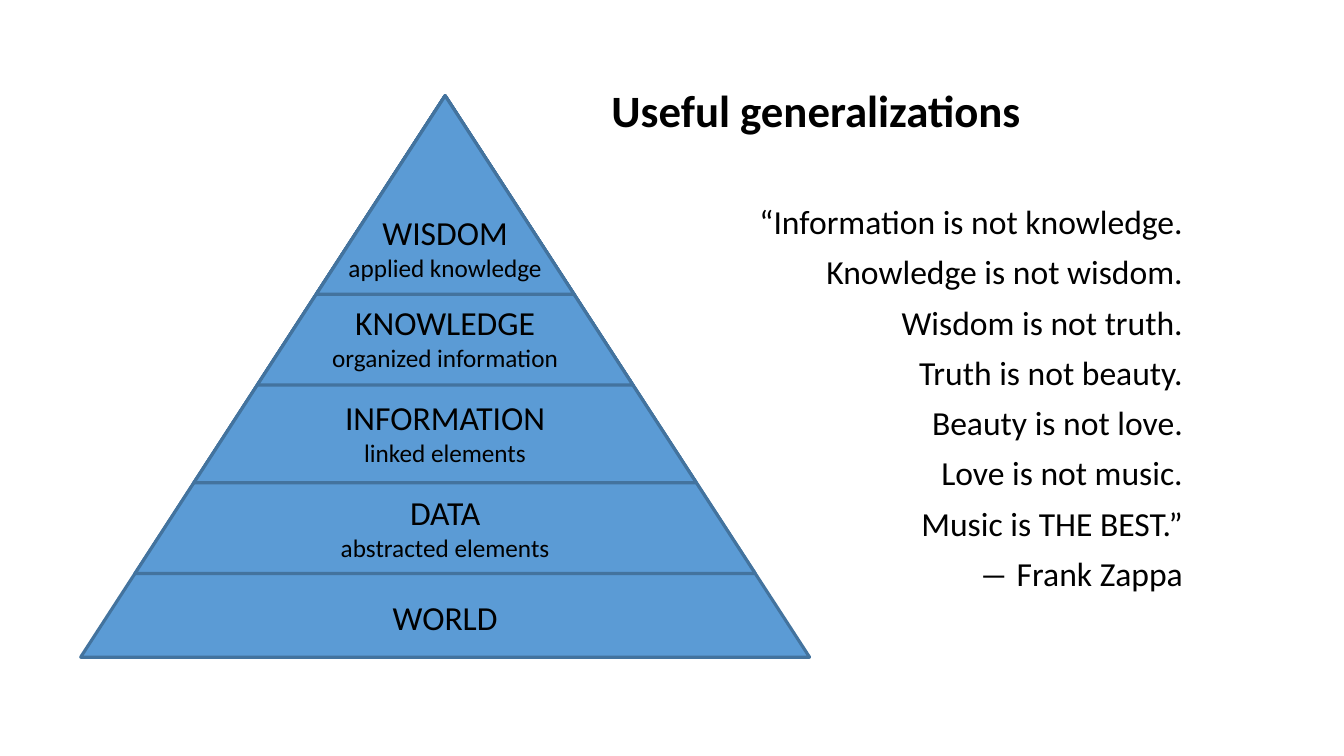
from dataclasses import dataclass

from pptx import Presentation
from pptx.dml.color import RGBColor
from pptx.enum.shapes import MSO_SHAPE
from pptx.enum.text import MSO_ANCHOR, PP_ALIGN
from pptx.util import Inches, Pt

TRIANGLE = MSO_SHAPE.ISOSCELES_TRIANGLE
TOP, MIDDLE = MSO_ANCHOR.TOP, MSO_ANCHOR.MIDDLE
CENTER, RIGHT = PP_ALIGN.CENTER, PP_ALIGN.RIGHT


@dataclass(frozen=True)
class Theme:
    font: str = "Calibri"
    ink: RGBColor = RGBColor(0, 0, 0)
    fill: RGBColor = RGBColor(0x5B, 0x9B, 0xD5)
    edge: RGBColor = RGBColor(0x43, 0x73, 0x9E)
    edge_width: float = 2.25
    title: int = 32
    body: int = 24
    detail: int = 18


@dataclass(frozen=True)
class Box:
    left: float
    top: float
    width: float
    height: float

    def lengths(self):
        return [Inches(n) for n in (self.left, self.top, self.width, self.height)]


@dataclass(frozen=True)
class Level:
    depth: float
    label_top: float
    label_width: float
    lines: tuple


THEME = Theme()

LEVELS = [
    Level(5.57, 4.92, 1.52, ("WORLD",)),
    Level(4.74, 3.88, 3.54, ("DATA", "abstracted elements")),
    Level(3.84, 2.94, 2.6, ("INFORMATION", "linked elements")),
    Level(2.87, 2.0, 2.6, ("KNOWLEDGE", "organized information")),
    Level(1.97, 1.1, 2.6, ("WISDOM", "applied knowledge")),
]

QUOTE = [
    "“Information is not knowledge.",
    "Knowledge is not wisdom.",
    "Wisdom is not truth.",
    "Truth is not beauty.",
    "Beauty is not love.",
    "Love is not music.",
    "Music is THE BEST.”",
    "― Frank Zappa",
]


def add_text(page, box, lines, sizes, align, anchor=TOP, bold=False,
             line_spacing=1.0, space_before=0):
    frame = page.shapes.add_textbox(*box.lengths()).text_frame
    frame.word_wrap = True
    frame.vertical_anchor = anchor
    frame.text = "\n".join(lines)
    for para, size in zip(frame.paragraphs, sizes):
        para.alignment = align
        para.line_spacing = line_spacing
        para.space_before = Pt(space_before)
        for span in para.runs:
            span.font.name = THEME.font
            span.font.size = Pt(size)
            span.font.bold = bold
            span.font.color.rgb = THEME.ink


def add_triangle(page, box):
    triangle = page.shapes.add_shape(TRIANGLE, *box.lengths())
    triangle.shadow.inherit = False
    triangle.fill.solid()
    triangle.fill.fore_color.rgb = THEME.fill
    triangle.line.color.rgb = THEME.edge
    triangle.line.width = Pt(THEME.edge_width)


def add_pyramid(page, box):
    middle = box.left + box.width / 2
    for level in LEVELS:
        width = box.width * level.depth / box.height
        add_triangle(page, Box(middle - width / 2, box.top, width, level.depth))
    for level in LEVELS:
        height = 0.5 if len(level.lines) == 1 else 0.81
        label = Box(middle - level.label_width / 2, box.top + level.label_top,
                    level.label_width, height)
        add_text(page, label, level.lines, (THEME.body, THEME.detail), CENTER)


def add_quote(page, box):
    add_text(page, box, QUOTE, [THEME.body] * len(QUOTE), RIGHT,
             line_spacing=0.9, space_before=10)


def add_title(page, box):
    add_text(page, box, ["Useful generalizations"], [THEME.title], CENTER,
             anchor=MIDDLE, bold=True, line_spacing=0.9)


def main():
    deck = Presentation()
    deck.slide_width = Inches(13.33)
    deck.slide_height = Inches(7.5)
    page = deck.slides.add_slide(deck.slide_layouts[6])
    add_quote(page, Box(7.15, 1.99, 4.68, 4.76))
    add_pyramid(page, Box(0.8, 0.95, 7.23, 5.57))
    add_title(page, Box(4.82, 0.4, 6.55, 1.45))
    deck.save("out.pptx")


if __name__ == "__main__":
    main()
